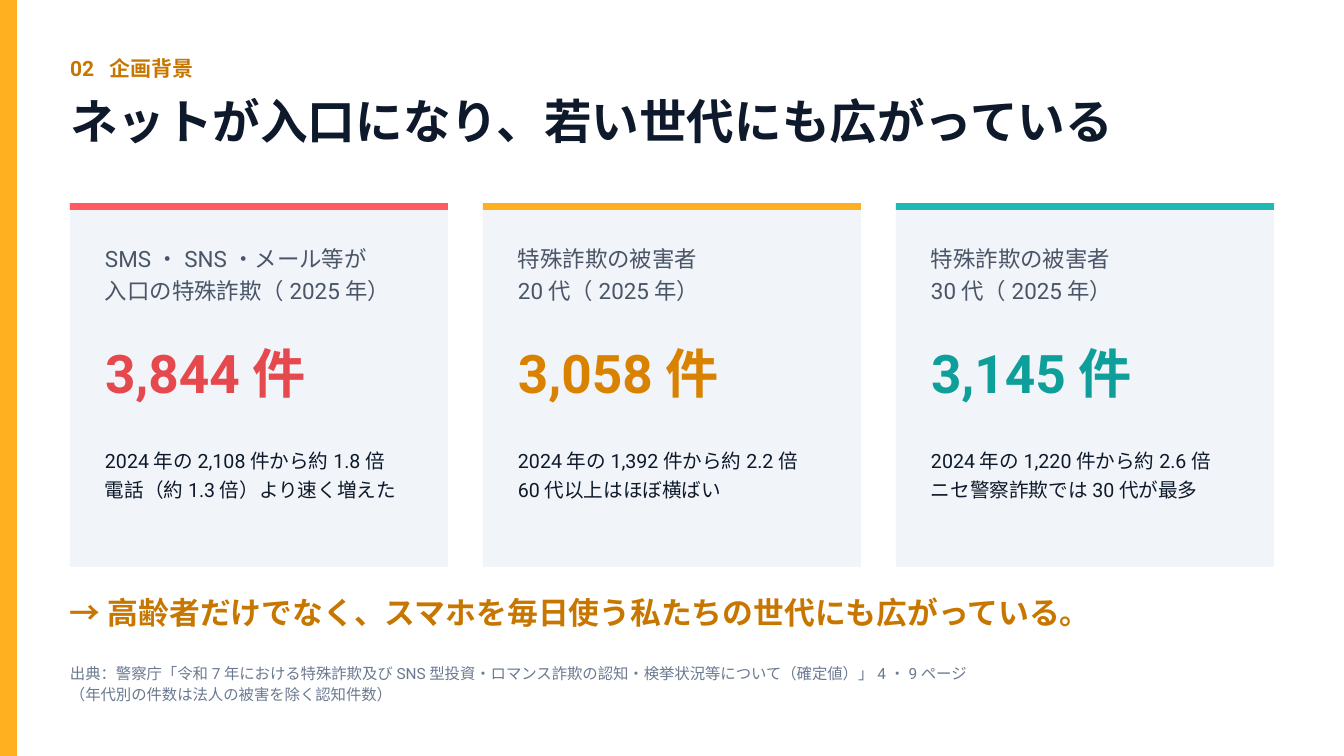
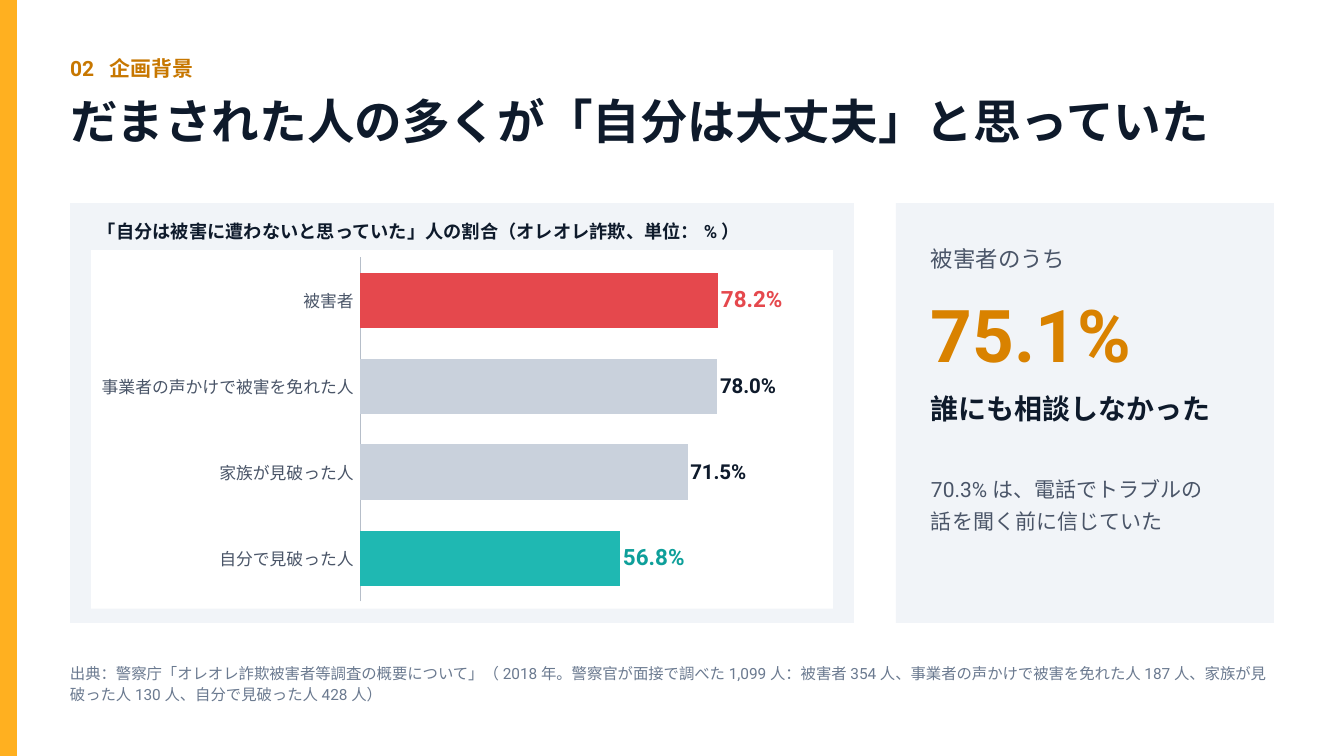
"""Builds the two slides on why the fraud-prevention project is needed."""
from lxml import etree
from pptx import Presentation
from pptx.chart.data import CategoryChartData
from pptx.dml.color import RGBColor
from pptx.enum.chart import XL_CHART_TYPE, XL_LABEL_POSITION, XL_TICK_LABEL_POSITION, XL_TICK_MARK
from pptx.enum.shapes import MSO_SHAPE
from pptx.enum.text import MSO_AUTO_SIZE
from pptx.oxml import parse_xml
from pptx.oxml.ns import nsdecls, qn
from pptx.util import Pt

COLORS = {
    "white": "FFFFFF", "ink": "0E1A2B", "body": "4A5568", "source": "6B7A90",
    "panel": "F1F4F8", "amber": "FFB020", "amber_text": "D98200", "accent": "C77700",
    "coral": "FF5A5F", "red": "E5484D", "teal": "1FB8B2", "teal_text": "0E9F9A",
    "bar": "C9D1DC", "axis": "B6BEC9",
}
RGB = {name: RGBColor.from_string(value) for name, value in COLORS.items()}
FONT = "Roboto"
LEFT, TOP, CONTENT_WIDTH = 75, 217.5, 1290
CARD_WIDTH, CARD_STEP, PADDING = 405, 442.5, 37.5
RIGHT_CARD = LEFT + 2 * CARD_STEP


def add_panel(slide, left, top, width, height, color):
    panel = slide.shapes.add_shape(MSO_SHAPE.RECTANGLE, Pt(left), Pt(top), Pt(width), Pt(height))
    panel.shadow.inherit = False
    panel.fill.solid()
    panel.fill.fore_color.rgb = RGB[color]
    panel.line.fill.background()


def add_text(slide, text, left, top, width, height, size, spacing, color, bold=False, tab=None):
    frame = slide.shapes.add_textbox(Pt(left), Pt(top), Pt(width), Pt(height)).text_frame
    frame.margin_left = frame.margin_top = frame.margin_right = frame.margin_bottom = 0
    frame.word_wrap = True
    frame.auto_size = MSO_AUTO_SIZE.SHAPE_TO_FIT_TEXT
    frame.text = text
    for paragraph in frame.paragraphs:
        if tab:
            tabs = etree.SubElement(paragraph._p.get_or_add_pPr(), qn("a:tabLst"))
            etree.SubElement(tabs, qn("a:tab"), pos=str(Pt(tab)), algn="l")
        paragraph.line_spacing = Pt(spacing)
        for run in paragraph.runs:
            run.font.name = FONT
            run.font.size = Pt(size)
            run.font.bold = bold
            run.font.color.rgb = RGB[color]


prs = Presentation()
prs.slide_width, prs.slide_height = Pt(1440), Pt(810)

pages = [
    ("ネットが入口になり、若い世代にも広がっている",
     "出典：警察庁「令和7年における特殊詐欺及びSNS型投資・ロマンス詐欺の認知・検挙状況等について（確定値）」4・9ページ\n"
     "（年代別の件数は法人の被害を除く認知件数）"),
    ("だまされた人の多くが「自分は大丈夫」と思っていた",
     "出典：警察庁「オレオレ詐欺被害者等調査の概要について」（2018年。警察官が面接で調べた1,099人：被害者354人、"
     "事業者の声かけで被害を免れた人187人、家族が見破った人130人、自分で見破った人428人）"),
]
slides = []
for headline, source in pages:
    slide = prs.slides.add_slide(prs.slide_layouts[6])
    slide.background.fill.solid()
    slide.background.fill.fore_color.rgb = RGB["white"]
    add_panel(slide, 0, 0, 18, 810, "amber")
    add_text(slide, "02\t企画背景", LEFT, 55.5, 450, 31.5, 22.5, 31.5, "accent", True, tab=42)
    add_text(slide, headline, LEFT, 87.75, 1275, 70.5, 51, 71.4, "ink", True)
    add_text(slide, source, LEFT, 708, CONTENT_WIDTH, 46, 16.5, 23.1, "source")
    slides.append(slide)
spread_slide, survey_slide = slides

victim_cards = [
    ("SMS・SNS・メール等が\n入口の特殊詐欺（2025年）", "3,844件",
     "2024年の2,108件から約1.8倍\n電話（約1.3倍）より速く増えた", "coral", "red"),
    ("特殊詐欺の被害者\n20代（2025年）", "3,058件",
     "2024年の1,392件から約2.2倍\n60代以上はほぼ横ばい", "amber", "amber_text"),
    ("特殊詐欺の被害者\n30代（2025年）", "3,145件",
     "2024年の1,220件から約2.6倍\nニセ警察詐欺では30代が最多", "teal", "teal_text"),
]
for index, (label, count, change, band_color, count_color) in enumerate(victim_cards):
    card_left = LEFT + index * CARD_STEP
    text_left = card_left + PADDING
    add_panel(spread_slide, card_left, TOP, CARD_WIDTH, 390, "panel")
    add_panel(spread_slide, card_left, TOP, CARD_WIDTH, 7.5, band_color)
    add_text(spread_slide, label, text_left, 258, 337.5, 65.5, 24, 33.6, "body")
    add_text(spread_slide, count, text_left, 370, 352.5, 65.5, 57, 62.7, count_color, True)
    add_text(spread_slide, change, text_left, 474.5, 337.5, 62, 21, 31.5, "ink")
add_text(spread_slide, "→ 高齢者だけでなく、スマホを毎日使う私たちの世代にも広がっている。",
         LEFT, 630, CONTENT_WIDTH, 46.5, 33, 46.2, "accent", True)

add_panel(survey_slide, LEFT, TOP, 840, 450, "panel")
add_panel(survey_slide, RIGHT_CARD, TOP, CARD_WIDTH, 450, "panel")
consultation_lines = [
    ("被害者のうち", 258, 32.5, 24, 33.6, "body", False),
    ("75.1%", 318, 90, 78, 85.8, "amber_text", True),
    ("誰にも相談しなかった", 414, 42, 30, 42, "ink", True),
    ("70.3%は、電話でトラブルの\n話を聞く前に信じていた", 504, 67, 22.5, 33.8, "body", False),
]
for line, top, height, size, spacing, color, bold in consultation_lines:
    add_text(survey_slide, line, RIGHT_CARD + PADDING, top, 337.5, height, size, spacing, color, bold)
add_text(survey_slide, "「自分は被害に遭わないと思っていた」人の割合（オレオレ詐欺、単位：%）",
         105, 232, 780, 27.5, 19.5, 27.3, "ink", True)

confidence = CategoryChartData(number_format="0.0")
confidence.categories = ["被害者", "事業者の声かけで被害を免れた人", "家族が見破った人", "自分で見破った人"]
confidence.add_series("割合", (78.2, 78, 71.5, 56.8))
chart = survey_slide.shapes.add_chart(
    XL_CHART_TYPE.BAR_CLUSTERED, Pt(97.5), Pt(268), Pt(795), Pt(384), confidence).chart
chart.has_legend = False
chart.has_title = False
chart.font.name = FONT
chart.font.size = Pt(18)
chart._chartSpace.chart.addnext(parse_xml(
    f'<c:spPr {nsdecls("c", "a")}><a:solidFill><a:srgbClr val="{COLORS["white"]}"/></a:solidFill>'
    '<a:ln><a:noFill/></a:ln></c:spPr>'))

plot_area = chart._chartSpace.chart.plotArea
for old_layout in plot_area.findall(qn("c:layout")):
    plot_area.remove(old_layout)
plot_area.insert(0, parse_xml(
    f'<c:layout {nsdecls("c")}><c:manualLayout><c:layoutTarget val="inner"/>'
    '<c:xMode val="edge"/><c:yMode val="edge"/><c:x val="0.363"/><c:y val="0.02"/>'
    '<c:w val="0.617"/><c:h val="0.96"/></c:manualLayout></c:layout>'))

group_axis = chart.category_axis
group_axis.reverse_order = True
group_axis.major_tick_mark = group_axis.minor_tick_mark = XL_TICK_MARK.NONE
group_axis.tick_label_position = XL_TICK_LABEL_POSITION.LOW
group_axis.tick_labels.font.name = FONT
group_axis.tick_labels.font.size = Pt(18)
group_axis.tick_labels.font.color.rgb = RGB["body"]
group_axis.format.line.color.rgb = RGB["axis"]
group_axis.format.line.width = Pt(0.75)
percent_axis = chart.value_axis
percent_axis.minimum_scale, percent_axis.maximum_scale = 0, 100
percent_axis.has_major_gridlines = False
percent_axis.visible = False

plot = chart.plots[0]
plot.gap_width = 55
plot.vary_by_categories = False
shares = plot.series[0]
shares.format.fill.solid()
shares.format.fill.fore_color.rgb = RGB["bar"]
labels = shares.data_labels
labels.show_value = True
labels.number_format = '0.0"%"'
labels.number_format_is_linked = False
labels.position = XL_LABEL_POSITION.OUTSIDE_END
labels.font.name = FONT
labels.font.size = Pt(22)
labels.font.bold = True
labels.font.color.rgb = RGB["ink"]
for index, bar_color, label_color in [(0, "red", "red"), (3, "teal", "teal_text")]:
    point = shares.points[index]
    point.format.fill.solid()
    point.format.fill.fore_color.rgb = RGB[bar_color]
    label = point.data_label
    label.font.name = FONT
    label.font.size = Pt(24)
    label.font.bold = True
    label.font.color.rgb = RGB[label_color]
    label.position = XL_LABEL_POSITION.OUTSIDE_END
    label._dLbl.find(qn("c:idx")).addnext(parse_xml(
        f'<c:numFmt {nsdecls("c")} formatCode="0.0&quot;%&quot;" sourceLinked="0"/>'))

prs.save("out.pptx")
